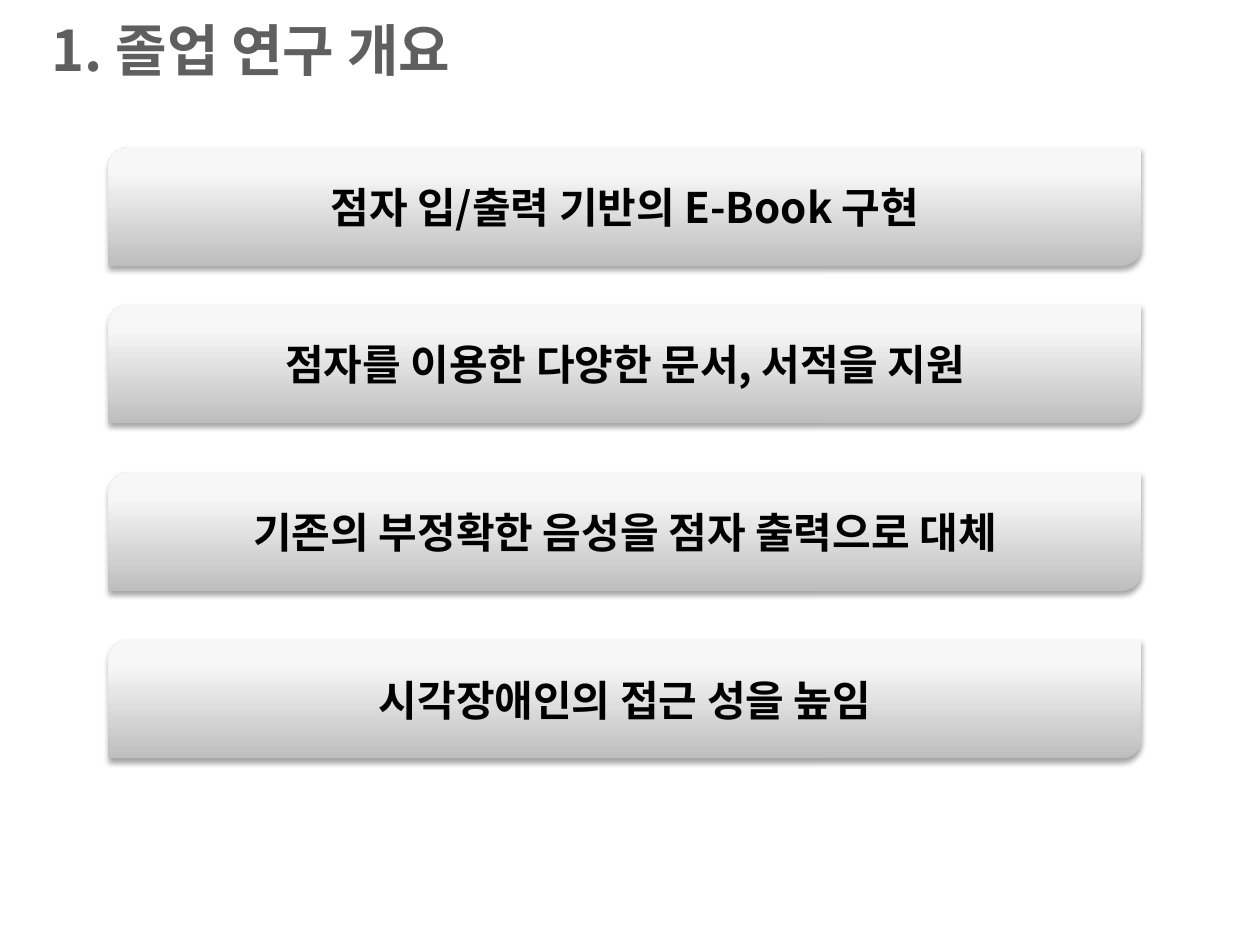
from dataclasses import dataclass

from lxml import etree
from pptx import Presentation
from pptx.dml.color import RGBColor
from pptx.enum import shapes, text
from pptx.oxml import parse_xml
from pptx.oxml.ns import qn
from pptx.util import Inches, Pt

NS = 'xmlns:a="http://schemas.openxmlformats.org/drawingml/2006/main"'


@dataclass(frozen=True)
class Theme:
    font: str = "Noto Sans CJK KR"
    title_size: int = 32
    bar_size: int = 24
    title_color: str = "5F5F5F"
    bar_color: str = "000000"
    shadow_color: str = "000000"
    # Gradient stops from the bottom of a bar to its top
    stops: tuple = ((0, "BEBEBE"), (80, "F7F7F7"), (100, "F8F8F8"))


@dataclass(frozen=True)
class Bar:
    label: str
    top: float


THEME = Theme()
BAR_LEFT, BAR_WIDTH, BAR_HEIGHT = 0.86, 8.2, 0.94
BARS = [
    Bar("점자 입/출력 기반의 E-Book 구현", 1.17),
    Bar("점자를 이용한 다양한 문서, 서적을 지원", 2.42),
    Bar("기존의 부정확한 음성을 점자 출력으로 대체", 3.75),
    Bar("시각장애인의 접근 성을 높임", 5.08),
]


def set_text(sp, label: str, size: int, color: str, align) -> None:
    tf = sp.text_frame
    tf.word_wrap = True
    tf.vertical_anchor = text.MSO_ANCHOR.MIDDLE
    tf.text = label
    p = tf.paragraphs[0]
    p.alignment = align
    r = p.runs[0]
    r.font.size = Pt(size)
    r.font.bold = True
    r.font.name = THEME.font
    r.font.color.rgb = RGBColor.from_string(color)
    # Korean glyphs take the East Asian typeface
    latin = r.font._element.find(qn("a:latin"))
    ea = etree.Element(qn("a:ea"), typeface=THEME.font)
    latin.addnext(ea)


def style_bar(sp) -> None:
    """Give a bar its vertical gradient and soft drop shadow."""
    sp.line.fill.background()
    sp.shadow.inherit = False
    props = sp._element.spPr
    stops = "".join(
        f'<a:gs pos="{pos * 1000}"><a:srgbClr val="{color}"/></a:gs>'
        for pos, color in THEME.stops
    )
    gradient = parse_xml(
        f'<a:gradFill {NS} rotWithShape="1"><a:gsLst>{stops}</a:gsLst>'
        '<a:lin ang="16200000" scaled="0"/></a:gradFill>'
    )
    props.find(qn("a:prstGeom")).addnext(gradient)
    shadow = parse_xml(
        f'<a:outerShdw {NS} blurRad="{Pt(3.1)}" dist="{Pt(1.8)}" '
        'dir="5400000" rotWithShape="0">'
        f'<a:srgbClr val="{THEME.shadow_color}"><a:alpha val="35000"/></a:srgbClr>'
        '</a:outerShdw>'
    )
    props.find(qn("a:effectLst")).append(shadow)


def add_title(s, label: str) -> None:
    sp = s.shapes.add_textbox(Inches(0.31), Inches(0), Inches(9.69), Inches(0.78))
    set_text(sp, label, THEME.title_size, THEME.title_color, text.PP_ALIGN.LEFT)


def add_bar(s, bar: Bar) -> None:
    sp = s.shapes.add_shape(
        shapes.MSO_SHAPE.ROUND_2_DIAG_RECTANGLE,
        Inches(BAR_LEFT), Inches(bar.top), Inches(BAR_WIDTH), Inches(BAR_HEIGHT),
    )
    style_bar(sp)
    set_text(sp, bar.label, THEME.bar_size, THEME.bar_color, text.PP_ALIGN.CENTER)


def main() -> None:
    prs = Presentation()
    prs.slide_width, prs.slide_height = Inches(10), Inches(7.5)
    s = prs.slides.add_slide(prs.slide_layouts[6])

    # Heading
    add_title(s, "1. 졸업 연구 개요")

    # Research goals
    for bar in BARS:
        add_bar(s, bar)

    prs.save("out.pptx")


if __name__ == "__main__":
    main()
